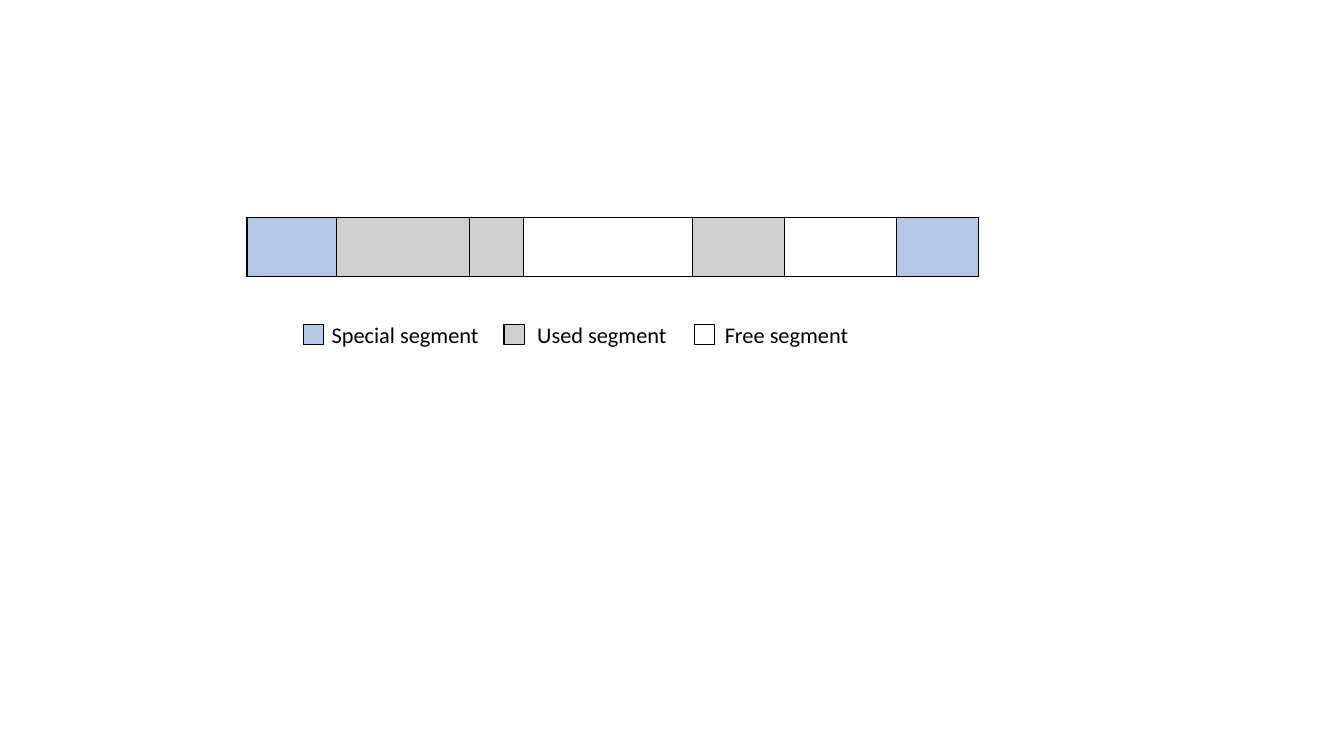
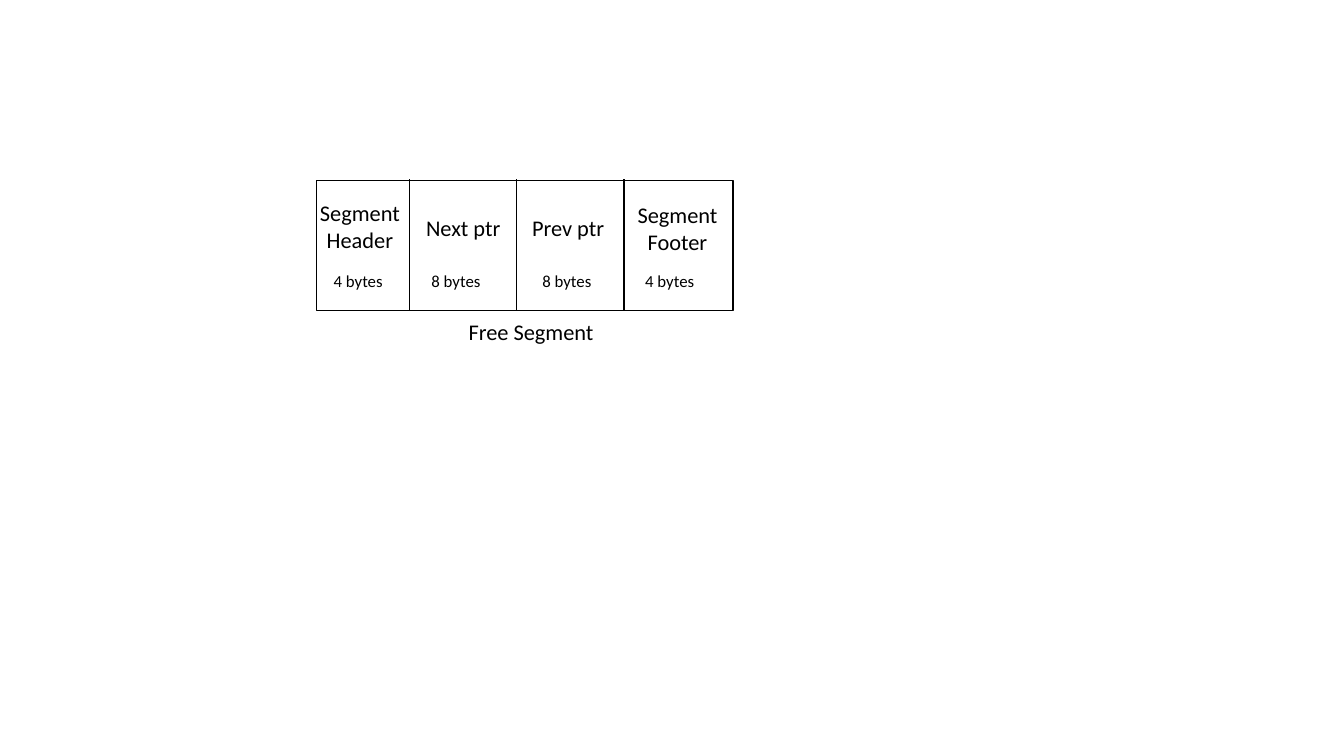
from lxml.etree import SubElement
from pptx import Presentation
from pptx.dml.color import RGBColor
from pptx.enum.shapes import MSO_CONNECTOR, MSO_SHAPE
from pptx.enum.text import MSO_AUTO_SIZE, PP_ALIGN
from pptx.oxml.ns import qn
from pptx.util import Inches, Pt

BLACK, WHITE = "000000", "FFFFFF"
SPECIAL, USED, FREE = "B4C7E7", "D0CECE", WHITE
FONT = "Calibri"
LABEL_SIZE, NOTE_SIZE = 16, 12
LINE_WIDTH = Pt(1)


def color(hex_string):
    return RGBColor.from_string(hex_string)


class Deck:
    def __init__(self):
        self.presentation = Presentation()
        self.presentation.slide_width = Inches(13.33)
        self.presentation.slide_height = Inches(7.5)
        self.slide = None

    def new_slide(self):
        blank_layout = self.presentation.slide_layouts[6]
        self.slide = self.presentation.slides.add_slide(blank_layout)

    def box(self, left, top, width, height, fill):
        box = self.slide.shapes.add_shape(
            MSO_SHAPE.RECTANGLE, Inches(left), Inches(top), Inches(width), Inches(height))
        box.shadow.inherit = False
        box.fill.solid()
        box.fill.fore_color.rgb = color(fill)
        box.line.color.rgb = color(BLACK)
        box.line.width = LINE_WIDTH

    def label(self, left, top, width, height, lines, size=LABEL_SIZE, align=PP_ALIGN.LEFT):
        label = self.slide.shapes.add_textbox(
            Inches(left), Inches(top), Inches(width), Inches(height))
        frame = label.text_frame
        frame.word_wrap = False
        frame.auto_size = MSO_AUTO_SIZE.SHAPE_TO_FIT_TEXT
        for index, line in enumerate(lines):
            paragraph = frame.add_paragraph() if index else frame.paragraphs[0]
            paragraph.alignment = align
            run = paragraph.add_run()
            run.text = line
            run.font.name = FONT
            run.font.size = Pt(size)
            run.font.color.rgb = color(BLACK)

    def divider(self, x, top, bottom):
        divider = self.slide.shapes.add_connector(
            MSO_CONNECTOR.STRAIGHT, Inches(x), Inches(top), Inches(x), Inches(bottom))
        divider.line.color.rgb = color(BLACK)
        divider.line.width = LINE_WIDTH
        SubElement(divider._element.spPr, qn("a:effectLst"))

    def segment_strip(self, left, top, height, segments):
        total_width = sum(width for width, _ in segments)
        table = self.slide.shapes.add_table(
            1, len(segments), Inches(left), Inches(top), Inches(total_width), Inches(height)).table
        table.first_row = table.horz_banding = False
        for column, (width, fill) in enumerate(segments):
            table.columns[column].width = Inches(width)
            cell = table.cell(0, column)
            self.cell_borders(cell)
            if fill == FREE:
                cell.fill.background()
            else:
                cell.fill.solid()
                cell.fill.fore_color.rgb = color(fill)

    def cell_borders(self, cell):
        properties = cell._tc.get_or_add_tcPr()
        for side in ("a:lnL", "a:lnR", "a:lnT", "a:lnB"):
            border = SubElement(properties, qn(side), w=str(LINE_WIDTH))
            solid = SubElement(border, qn("a:solidFill"))
            SubElement(solid, qn("a:srgbClr"), val=BLACK)


def memory_slide(deck):
    deck.new_slide()
    legend = [
        (3.01, SPECIAL, 3.19, 1.68, "Special segment"),
        (5, USED, 5.23, 1.5, "Used segment"),
        (6.89, FREE, 7.09, 1.44, "Free segment"),
    ]
    for key_left, fill, text_left, text_width, text in legend:
        deck.box(key_left, 3.22, 0.2, 0.2, fill)
        deck.label(text_left, 3.14, text_width, 0.37, [text])
    deck.segment_strip(2.45, 2.16, 0.58, [
        (0.89, SPECIAL), (1.32, USED), (0.53, USED), (1.68, FREE),
        (0.91, USED), (1.11, FREE), (0.82, SPECIAL),
    ])


def free_segment_slide(deck):
    deck.new_slide()
    deck.box(3.14, 1.79, 4.13, 1.29, FREE)
    for x in (4.06, 5.12, 6.19):
        deck.divider(x, 1.78, 3.08)
    fields = [
        (3.07, 1.93, 1, ["Segment", "Header"], 3.21, "4 bytes"),
        (4.12, 2.08, 0.95, ["Next ptr"], 4.18, "8 bytes"),
        (5.17, 2.08, 0.93, ["Prev ptr"], 5.28, "8 bytes"),
        (6.22, 1.95, 1, ["Segment", "Footer"], 6.3, "4 bytes"),
    ]
    for left, top, width, name, size_left, byte_count in fields:
        deck.label(left, top, width, 0.37 if len(name) == 1 else 0.64, name, align=PP_ALIGN.CENTER)
        deck.label(size_left, 2.64, 0.69, 0.3, [byte_count], NOTE_SIZE)
    deck.label(4.55, 3.11, 1.46, 0.37, ["Free Segment"])


def main():
    deck = Deck()
    memory_slide(deck)
    free_segment_slide(deck)
    deck.presentation.save("out.pptx")


if __name__ == "__main__":
    main()
